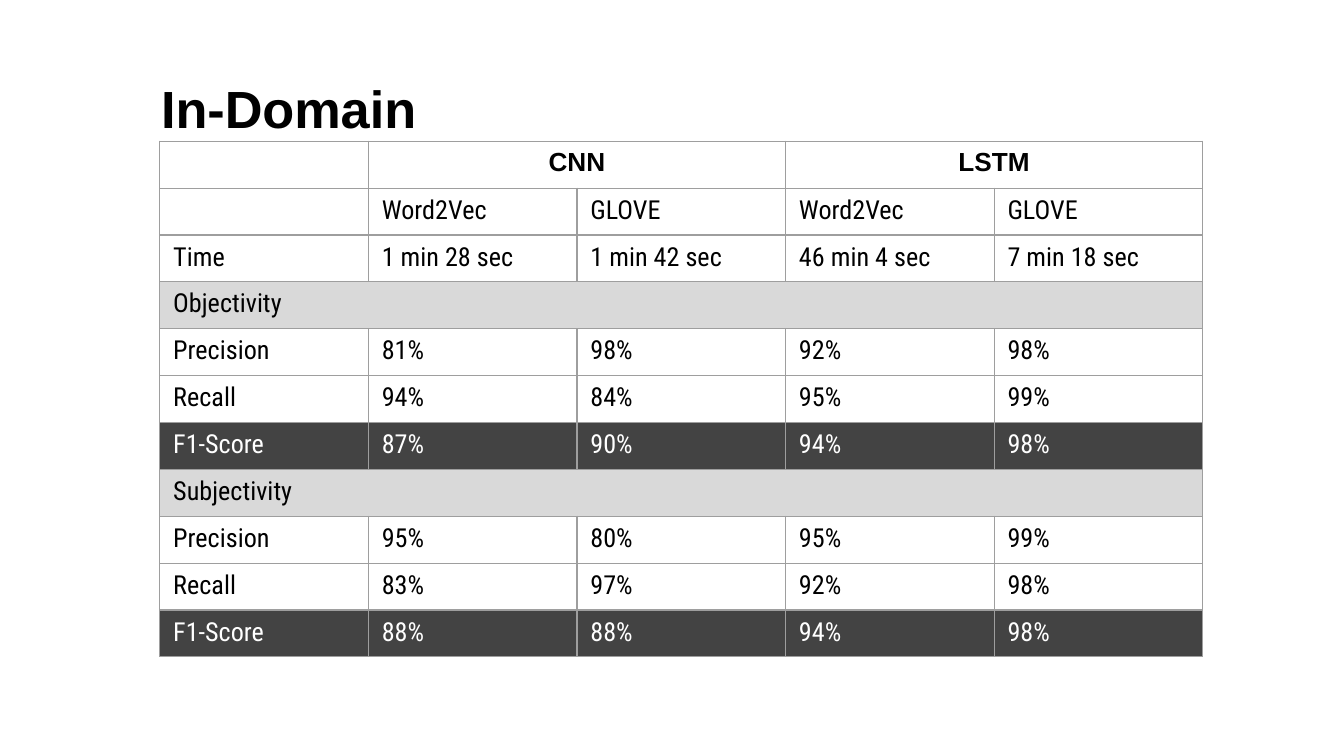
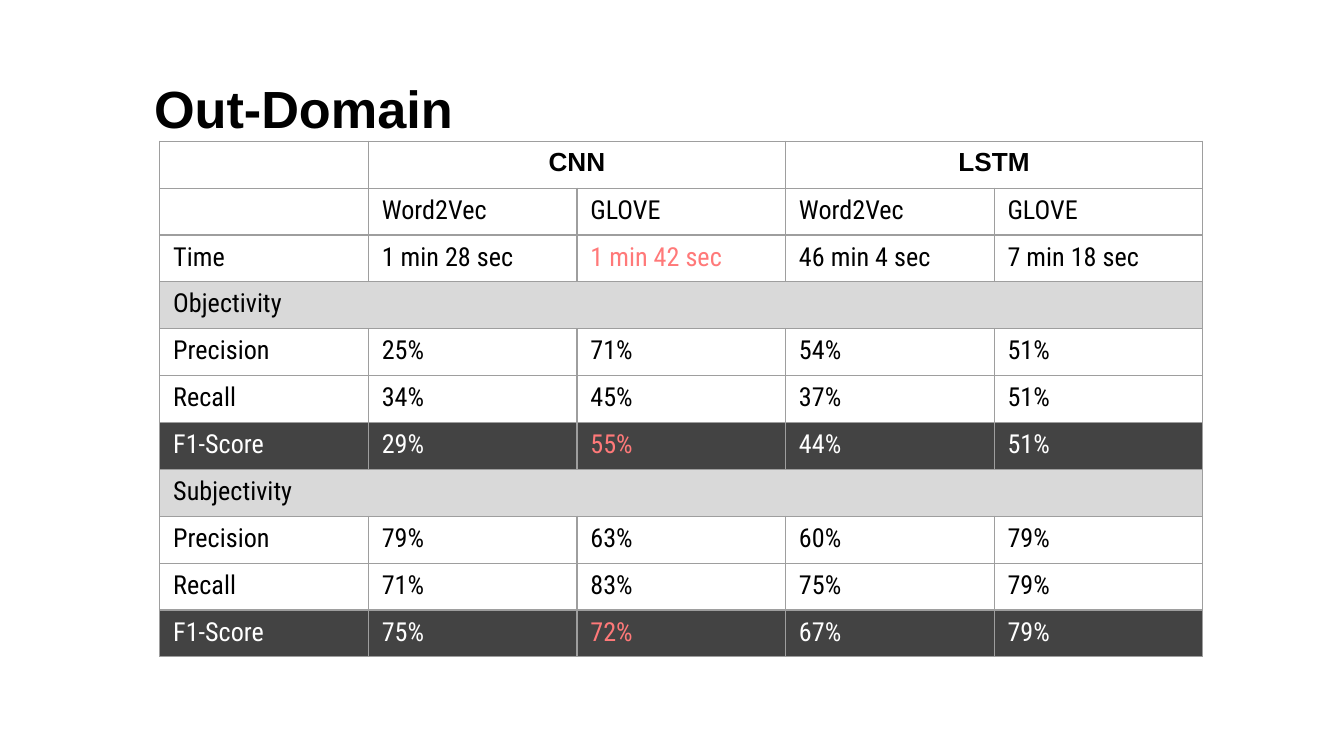
from lxml.etree import SubElement as Sub
from pptx import Presentation
from pptx.dml.color import RGBColor as Rgb
from pptx.enum.text import MSO_ANCHOR as Anchor, MSO_AUTO_SIZE as Auto, PP_ALIGN as Align
from pptx.oxml.ns import qn
from pptx.util import Cm, Pt

# Content: time, then precision, recall and F1 for each section
TIMES = ["1 min 28 sec", "1 min 42 sec", "46 min 4 sec", "7 min 18 sec"]
NETS = ["CNN", "LSTM"]
VECS = ["Word2Vec", "GLOVE"]
PARTS = ["Objectivity", "Subjectivity"]
SCORES = ["Precision", "Recall", "F1-Score"]
SLIDES = [
    {"title": "In-Domain", "left": 1.9, "best": None, "data": [
        [(81, 98, 92, 98), (94, 84, 95, 99), (87, 90, 94, 98)],
        [(95, 80, 95, 99), (83, 97, 92, 98), (88, 88, 94, 98)]]},
    {"title": "Out-Domain", "left": 2.18, "best": 2, "data": [
        [(25, 71, 54, 51), (34, 45, 37, 51), (29, 55, 44, 51)],
        [(79, 63, 60, 79), (71, 83, 75, 79), (75, 72, 67, 79)]]},
]

# Shared style
HUES = {"ink": "000000", "white": "FFFFFF", "band": "D9D9D9",
        "dark": "434343", "best": "FF7979", "rule": "9E9E9E"}
HEAD, BODY = "Arial", "Roboto Condensed"
LEFT, TOP, WIDTH, HEIGHT = Cm(3.02), Cm(2.67), Cm(19.71), Cm(9.75)


def hue(name):
    return Rgb.from_string(HUES[name])


def style(font, color, **values):
    for key, value in values.items():
        setattr(font, key, value)
    font.color.rgb = hue(color)


def list_rows(data):
    """Give each row as (kind, texts)."""
    rows = [("head", ["", NETS[0], "", NETS[1], ""]),
            ("plain", [""] + VECS * len(NETS)),
            ("time", ["Time"] + TIMES)]
    for part, block in zip(PARTS, data):
        rows.append(("band", [part] + [""] * len(TIMES)))
        for name, marks in zip(SCORES, block):
            kind = "dark" if name == SCORES[-1] else "plain"
            rows.append((kind, [name] + [f"{mark}%" for mark in marks]))
    return rows


def add_title(slide, text, left):
    box = slide.shapes.title
    spot = {"left": Cm(left), "top": Cm(1.78), "width": Cm(7.11), "height": Cm(1.09)}
    for key, value in spot.items():
        setattr(box, key, value)
    frame = box.text_frame
    frame.text = text
    frame.auto_size = Auto.NONE
    frame.vertical_anchor = Anchor.BOTTOM
    for side in ("left", "right", "top", "bottom"):
        setattr(frame, f"margin_{side}", Cm(0.25))
    para = frame.paragraphs[0]
    para.alignment = Align.CENTER
    style(para.runs[0].font, "ink", name=HEAD, size=Pt(28), bold=True)


def add_rules(cell):
    props = cell._tc.get_or_add_tcPr()
    for side in "LRTB":
        line = Sub(props, qn(f"a:ln{side}"), w=str(Pt(0.75)))
        fill = Sub(line, qn("a:solidFill"))
        Sub(fill, qn("a:srgbClr"), val=HUES["rule"])


def fill_cell(cell, text, kind, best):
    add_rules(cell)
    if kind in ("band", "dark"):
        cell.fill.solid()
        cell.fill.fore_color.rgb = hue(kind)
    else:
        cell.fill.background()
    para = cell.text_frame.paragraphs[0]
    if not text:
        # Keep empty cells from stretching their row
        Sub(para._p, qn("a:endParaRPr"), sz="1400")
        return
    head = kind == "head"
    para.alignment = Align.CENTER if head else Align.LEFT
    run = para.add_run()
    run.text = text
    color = "best" if best else "white" if kind == "dark" else "ink"
    style(run.font, color, name=HEAD if head else BODY, size=Pt(14), bold=head)


def add_grid(slide, rows, best):
    count = len(rows[0][1])
    grid = slide.shapes.add_table(len(rows), count, LEFT, TOP, WIDTH, HEIGHT).table
    grid.first_row = grid.horz_banding = False
    for r, (kind, texts) in enumerate(rows):
        for c, text in enumerate(texts):
            mark = c == best and kind in ("time", "dark")
            fill_cell(grid.cell(r, c), text, kind, mark)
        # Join the network heads and the section bands
        spans = {"head": [(1, 2), (3, 4)], "band": [(0, count - 1)]}
        for first, last in spans.get(kind, []):
            grid.cell(r, first).merge(grid.cell(r, last))


def main():
    deck = Presentation()
    deck.slide_width, deck.slide_height = Cm(25.4), Cm(14.29)
    for item in SLIDES:
        slide = deck.slides.add_slide(deck.slide_layouts[5])
        add_title(slide, item["title"], item["left"])
        add_grid(slide, list_rows(item["data"]), item["best"])
    deck.save("out.pptx")


if __name__ == "__main__":
    main()
